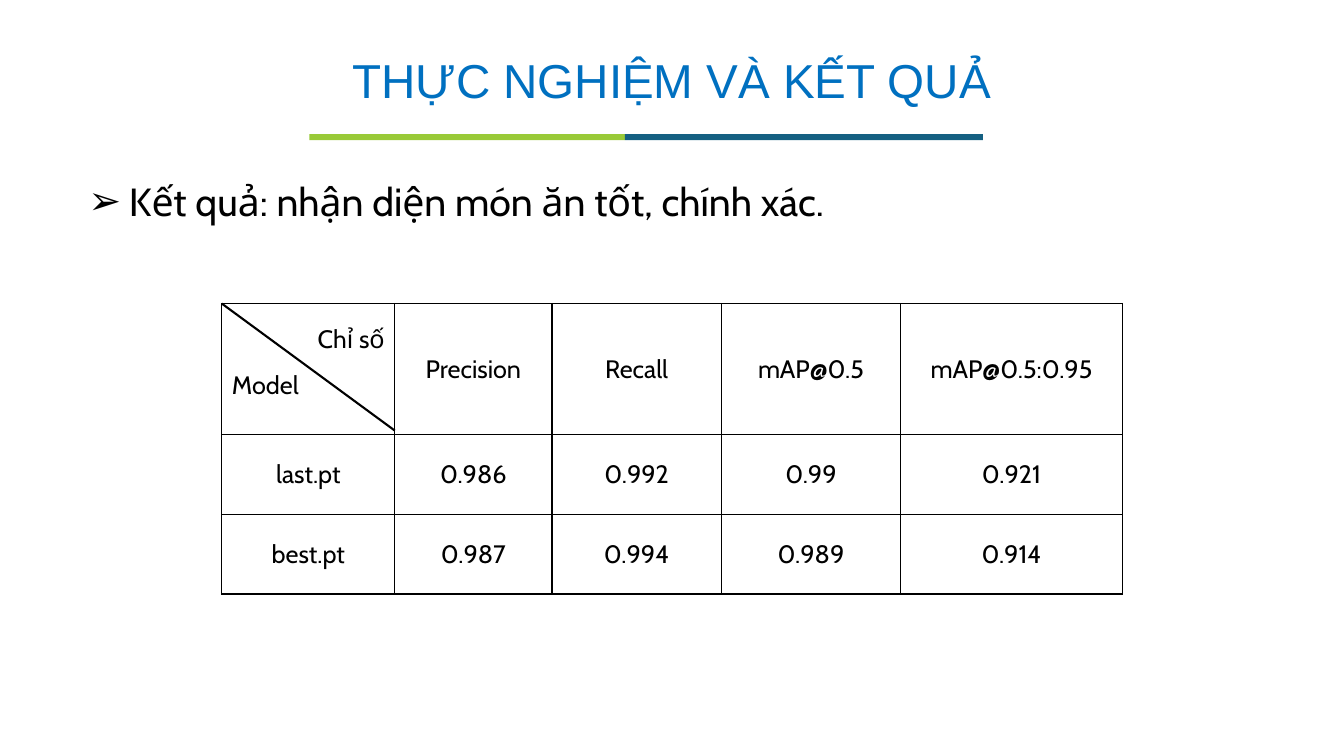
from lxml import etree
from pptx import Presentation
from pptx import util as u
from pptx.dml.color import RGBColor
from pptx.enum import shapes, text
from pptx.oxml import ns

COLORS = {"green": "99CA38", "teal": "156082", "title": "0070C0", "ink": "000000", "paper": "FFFFFF"}


def style(paragraph, font, size, color, align=text.PP_ALIGN.LEFT, spacing=1.0):
    paragraph.alignment = align
    paragraph.line_spacing = spacing
    paragraph.font.name = font
    paragraph.font.size = u.Pt(size)
    paragraph.font.color.rgb = RGBColor.from_string(COLORS[color])


def add_border(cell):
    properties = cell._tc.get_or_add_tcPr()
    for position, side in enumerate(("lnL", "lnR", "lnT", "lnB")):
        edge = etree.Element(ns.qn(f"a:{side}"), w=str(u.Pt(1)))
        fill = etree.SubElement(edge, ns.qn("a:solidFill"))
        etree.SubElement(fill, ns.qn("a:srgbClr"), val=COLORS["ink"])
        properties.insert(position, edge)


prs = Presentation()
prs.slide_width = u.Cm(33.87)
prs.slide_height = u.Cm(19.05)
slide = prs.slides.add_slide(prs.slide_layouts[6])

for left, width, color in ((7.8, 7.95, "green"), (15.75, 9.02, "teal")):
    bar = slide.shapes.add_shape(
        shapes.MSO_SHAPE.RECTANGLE, u.Cm(left), u.Cm(3.38), u.Cm(width), u.Cm(0.15))
    bar.shadow.inherit = False
    bar.fill.solid()
    bar.fill.fore_color.rgb = RGBColor.from_string(COLORS[color])
    bar.line.fill.background()

title = slide.shapes.add_textbox(u.Cm(2.92), u.Cm(0.99), u.Cm(28.02), u.Cm(2.21)).text_frame
title.word_wrap = True
title.vertical_anchor = text.MSO_ANCHOR.MIDDLE
title.text = "THỰC NGHIỆM VÀ KẾT QUẢ"
style(title.paragraphs[0], "Arial", 34, "title", text.PP_ALIGN.CENTER, 0.9)

finding = slide.shapes.add_textbox(u.Cm(1.98), u.Cm(4.47), u.Cm(23.01), u.Cm(2.21)).text_frame
finding.word_wrap = True
finding.text = "Kết quả: nhận diện món ăn tốt, chính xác."
finding_line = finding.paragraphs[0]
bullet = finding_line._p.get_or_add_pPr()
bullet.set("marL", str(u.Cm(1.02)))
bullet.set("indent", str(-u.Cm(1.02)))
etree.SubElement(bullet, ns.qn("a:buFont"), typeface="Arial")
etree.SubElement(bullet, ns.qn("a:buChar"), char="➢")
style(finding_line, "Cabin", 28, "ink", spacing=0.9)

results = [
    ["Chỉ số\nModel", "Precision", "Recall", "mAP@0.5", "mAP@0.5:0.95"],
    ["last.pt", "0.986", "0.992", "0.99", "0.921"],
    ["best.pt", "0.987", "0.994", "0.989", "0.914"],
]
column_widths = [4.36, 3.96, 4.27, 4.52, 5.59]
row_heights = [3.3, 2.01, 2.01]
table_left, table_top = 5.59, 7.65
metrics = slide.shapes.add_table(
    len(results), len(column_widths), u.Cm(table_left), u.Cm(table_top),
    u.Cm(sum(column_widths)), u.Cm(sum(row_heights))).table
for column, width in zip(metrics.columns, column_widths):
    column.width = u.Cm(width)
for row, height, values in zip(metrics.rows, row_heights, results):
    row.height = u.Cm(height)
    for cell, value in zip(row.cells, values):
        cell.text = value
        cell.vertical_anchor = text.MSO_ANCHOR.MIDDLE
        cell.fill.solid()
        cell.fill.fore_color.rgb = RGBColor.from_string(COLORS["paper"])
        add_border(cell)
        style(cell.text_frame.paragraphs[0], "Cabin", 18, "ink", text.PP_ALIGN.CENTER)

corner = metrics.cell(0, 0)
corner.vertical_anchor = text.MSO_ANCHOR.TOP
for label, align in zip(corner.text_frame.paragraphs, (text.PP_ALIGN.RIGHT, text.PP_ALIGN.LEFT)):
    style(label, "Cabin", 18, "ink", align, 1.5)

diagonal = slide.shapes.add_connector(
    shapes.MSO_CONNECTOR.STRAIGHT, u.Cm(table_left), u.Cm(table_top),
    u.Cm(table_left + column_widths[0]), u.Cm(10.85))
diagonal.line.width = u.Pt(1.5)
diagonal.line.color.rgb = RGBColor.from_string(COLORS["ink"])
etree.SubElement(diagonal._element.spPr, ns.qn("a:effectLst"))

prs.save("out.pptx")
